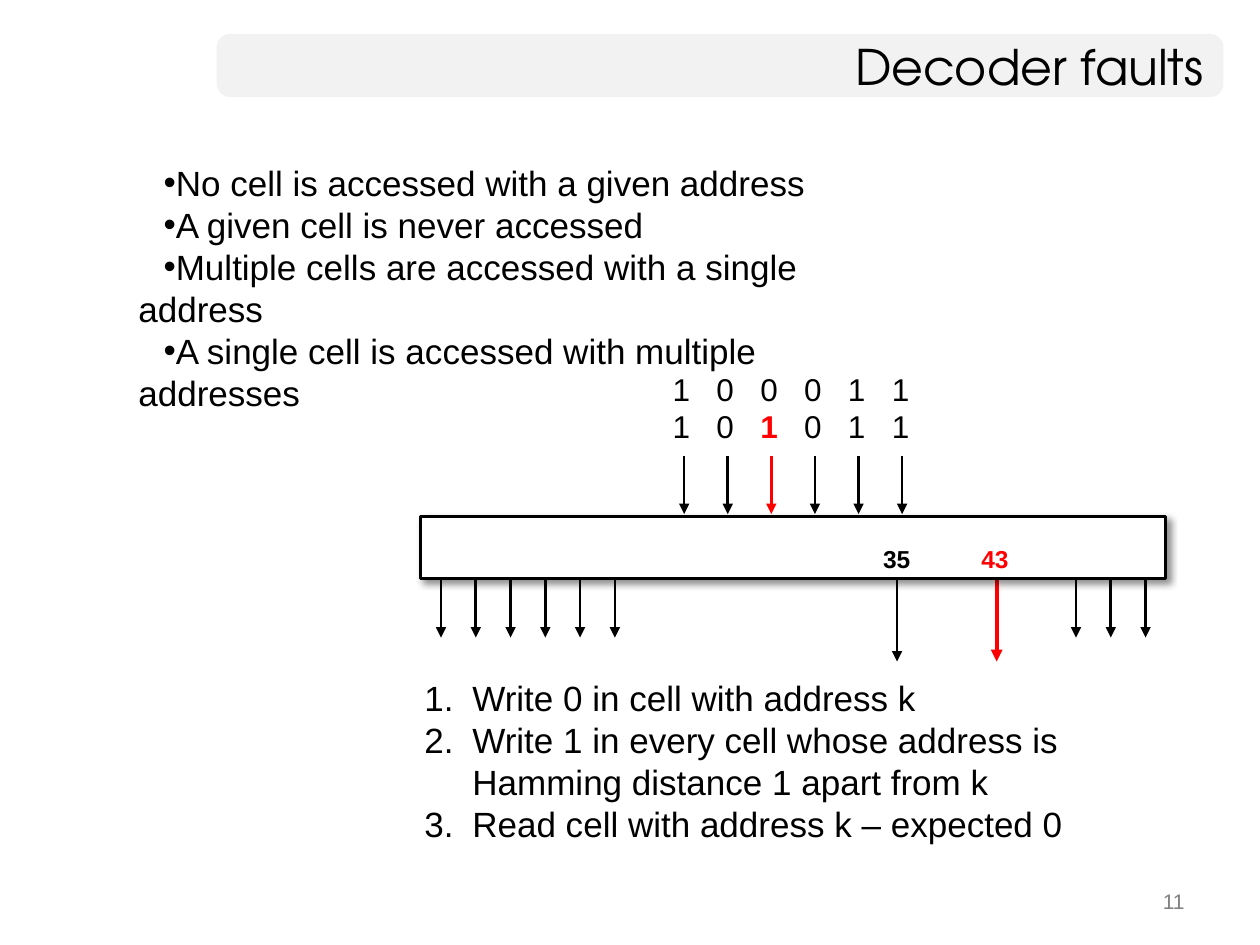
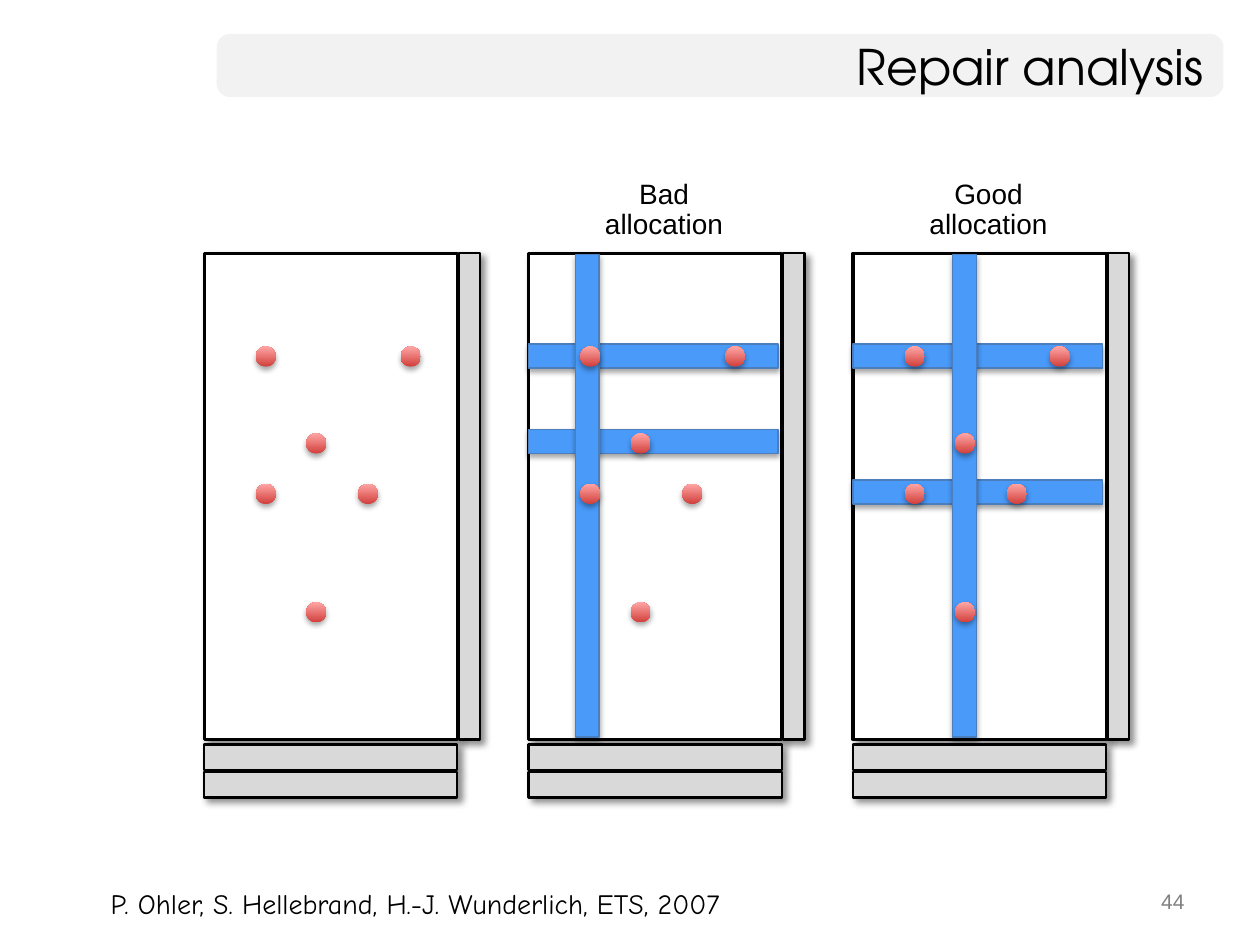
from dataclasses import dataclass

from lxml.etree import SubElement
from pptx import Presentation
from pptx.dml.color import RGBColor
from pptx.enum.shapes import MSO_CONNECTOR, MSO_SHAPE
from pptx.enum.text import MSO_ANCHOR, PP_ALIGN
from pptx.oxml.ns import qn
from pptx.util import Inches, Pt


@dataclass(frozen=True)
class Theme:
    # Colours
    ink: str = "000000"
    paper: str = "FFFFFF"
    alert: str = "FF0000"
    band: str = "F2F2F2"
    page_number: str = "808080"
    spare: str = "D9D9D9"
    repair: str = "4A9AF9"
    repair_edge: str = "4B7EBC"
    fault_dark: str = "D1403C"
    fault_light: str = "FFA6A5"
    # Fonts
    body_font: str = "Arial"
    title_font: str = "TeX Gyre Adventor"
    citation_font: str = "Comic Neue"
    # Type sizes in points
    title_size: int = 28
    body_size: int = 20
    bit_size: int = 18
    label_size: int = 16
    cell_size: int = 14
    number_size: int = 12


@dataclass(frozen=True)
class Shadow:
    opacity: int
    blur: float
    distance: float
    angle: int


THEME = Theme()
BOX_SHADOW = Shadow(43, 4, 3, 45)
SOFT_SHADOW = Shadow(35, 3.1, 1.8, 90)


class SlideBuilder:
    def __init__(self, deck, theme):
        self.deck = deck
        self.theme = theme
        self.page = None

    def start_page(self, title, number):
        """Add a slide with the title band and page number."""
        theme = self.theme
        self.page = self.deck.slides.add_slide(self.deck.slide_layouts[6])
        band = self.shape(1.72, 0.27, 7.99, 0.5, theme.band, kind=MSO_SHAPE.ROUNDED_RECTANGLE)
        band.adjustments[0] = 0.21
        self.text(7.17, 7, 2.33, 0.35, [str(number)], theme.number_size,
                  color=theme.page_number, align=PP_ALIGN.RIGHT)
        box = self.text(1.72, 0.27, 7.93, 0.5, [title], theme.title_size,
                        font=theme.title_font, align=PP_ALIGN.RIGHT)
        box.text_frame.vertical_anchor = MSO_ANCHOR.MIDDLE

    def text(self, left, top, width, height, lines, size, color=None, font=None,
             bold=False, align=PP_ALIGN.LEFT, wrap=True, spacing=None):
        box = self.page.shapes.add_textbox(
            Inches(left), Inches(top), Inches(width), Inches(height))
        frame = box.text_frame
        frame.text = "\n".join(lines)
        frame.word_wrap = wrap
        for para in frame.paragraphs:
            para.alignment = align
            para.line_spacing = spacing
            for span in para.runs:
                span.font.size = Pt(size)
                span.font.name = font or self.theme.body_font
                span.font.bold = bold
                span.font.color.rgb = RGBColor.from_string(color or self.theme.ink)
        return box

    def item_list(self, left, top, width, height, items, margin, indent, marker, **marker_values):
        box = self.text(left, top, width, height, items, self.theme.body_size)
        for para in box.text_frame.paragraphs:
            properties = para._p.get_or_add_pPr()
            properties.set("marL", str(Inches(margin)))
            properties.set("indent", str(Inches(indent)))
            SubElement(properties, qn("a:buFont"), typeface=self.theme.body_font)
            SubElement(properties, qn(marker), **marker_values)

    def shape(self, left, top, width, height, fill=None, edge=None, edge_width=1,
              shadow=None, kind=MSO_SHAPE.RECTANGLE):
        shape = self.page.shapes.add_shape(
            kind, Inches(left), Inches(top), Inches(width), Inches(height))
        if fill:
            shape.fill.solid()
            shape.fill.fore_color.rgb = RGBColor.from_string(fill)
        if edge:
            shape.line.color.rgb = RGBColor.from_string(edge)
            shape.line.width = Pt(edge_width)
        else:
            shape.line.fill.background()
        shape.shadow.inherit = False
        if shadow:
            self.cast_shadow(shape, shadow)
        return shape

    def cast_shadow(self, shape, shadow):
        effects = shape._element.spPr.find(qn("a:effectLst"))
        outer = SubElement(effects, qn("a:outerShdw"), blurRad=str(Pt(shadow.blur)),
                           dist=str(Pt(shadow.distance)), dir=str(shadow.angle * 60000),
                           rotWithShape="0")
        color = SubElement(outer, qn("a:srgbClr"), val=self.theme.ink)
        SubElement(color, qn("a:alpha"), val=str(shadow.opacity * 1000))

    def fault(self, left, top):
        dot = self.shape(left, top, 0.16, 0.16, shadow=SOFT_SHADOW, kind=MSO_SHAPE.OVAL)
        dot.fill.gradient()
        dot.fill.gradient_angle = 90
        shades = (self.theme.fault_dark, self.theme.fault_light)
        for position, (stop, shade) in enumerate(zip(dot.fill.gradient_stops, shades)):
            stop.position = position
            stop.color.rgb = RGBColor.from_string(shade)

    def down_arrow(self, x, top, bottom, color=None, width=1.5):
        arrow = self.page.shapes.add_connector(
            MSO_CONNECTOR.STRAIGHT, Inches(x), Inches(top), Inches(x), Inches(bottom))
        arrow.line.color.rgb = RGBColor.from_string(color or self.theme.ink)
        arrow.line.width = Pt(width)
        SubElement(arrow.line._get_or_add_ln(), qn("a:tailEnd"), type="triangle")
        SubElement(arrow._element.spPr, qn("a:effectLst"))


def build_decoder_faults(builder):
    theme = builder.theme
    builder.start_page("Decoder faults", 11)

    # Output lines, partly hidden behind the decoder
    decoder_top, decoder_bottom = 4.1, 4.59
    builder.down_arrow(7.12, 4.31, 5.25)
    builder.down_arrow(7.91, 4.31, 5.25, theme.alert, 2.25)
    for first_x, count in ((3.5, 6), (8.54, 3)):
        for index in range(count):
            builder.down_arrow(first_x + 0.276 * index, decoder_bottom, 5.06)

    # Decoder and the two selected cells
    builder.shape(3.34, decoder_top, 5.91, decoder_bottom - decoder_top,
                  theme.paper, theme.ink, 1.75, BOX_SHADOW)
    for left, cell, color in ((6.91, "35", theme.ink), (7.69, "43", theme.alert)):
        builder.text(left, 4.27, 0.42, 0.33, [cell], theme.cell_size, color,
                     bold=True, wrap=False)

    # Address bits, with the differing bit highlighted
    expected, actual = "100011", "101011"
    for index, (bit, faulty_bit) in enumerate(zip(expected, actual)):
        differs = bit != faulty_bit
        color = theme.alert if differs else theme.ink
        left = 5.24 + 0.348 * index
        builder.text(left, 2.89, 0.34, 0.4, [bit], theme.bit_size, wrap=False)
        builder.text(left, 3.18, 0.34, 0.4, [faulty_bit], theme.bit_size, color,
                     bold=differs, wrap=False)
        builder.down_arrow(5.43 + 0.346 * index, 3.62, 4.08, color)

    # Test procedure and fault kinds
    builder.item_list(3.27, 5.32, 5.98, 1.45, [
        "Write 0 in cell with address k",
        "Write 1 in every cell whose address is Hamming distance 1 apart from k",
        "Read cell with address k – expected 0",
    ], 0.38, -0.38, "a:buAutoNum", type="arabicPeriod")
    builder.item_list(1, 1.23, 6, 2.1, [
        "No cell is accessed with a given address",
        "A given cell is never accessed",
        "Multiple cells are accessed with a single address",
        "A single cell is accessed with multiple addresses",
    ], 0, 0.2, "a:buChar", char="•")


def draw_memory(builder, left, repaired_rows=(), repaired_column=None):
    """Draw a memory array with spares, repairs and faults placed relative to its corner."""
    theme = builder.theme
    top, width, height = 2.01, 2.01, 3.86
    faults = ((0.41, 0.74), (1.56, 0.74), (0.81, 1.43),
              (0.41, 1.83), (1.22, 1.83), (0.81, 2.77))
    spare_style = (theme.spare, theme.ink, 1.25, BOX_SHADOW)
    repair_style = (theme.repair, theme.repair_edge, 0.75, SOFT_SHADOW)

    builder.shape(left, top, width, height, theme.paper, theme.ink, 1.75, BOX_SHADOW)
    for spare_row in (3.9, 4.12):
        builder.shape(left, top + spare_row, width, 0.2, *spare_style)
    builder.shape(left + 2.02, top, 0.17, height, *spare_style)
    for row in repaired_rows:
        builder.shape(left, top + row, 1.98, 0.19, *repair_style)
    if repaired_column is not None:
        builder.shape(left + repaired_column, top + 0.01, 0.19, 3.83, *repair_style)
    for x, y in faults:
        builder.fault(left + x, top + y)


def build_repair_analysis(builder):
    theme = builder.theme
    builder.start_page("Repair analysis", 44)

    # Unrepaired memory, then the two allocations
    memories = (
        (None, (), None),
        ("Bad", (0.72, 1.4), 0.37),
        ("Good", (0.72, 1.8), 0.79),
    )
    for index, (verdict, rows, column) in enumerate(memories):
        left = 1.62 + 2.575 * index
        draw_memory(builder, left, rows, column)
        if verdict:
            builder.text(left + 0.5, 1.38, 1.15, 0.59, [verdict, "allocation"],
                         theme.label_size, align=PP_ALIGN.CENTER, wrap=False, spacing=0.9)

    # Citation
    builder.text(0.78, 6.99, 5.77, 0.37,
                 ["P. Ohler, S. Hellebrand, H.-J. Wunderlich, ETS, 2007"],
                 theme.label_size, font=theme.citation_font)


def main():
    deck = Presentation()
    deck.slide_width, deck.slide_height = Inches(10), Inches(7.5)
    builder = SlideBuilder(deck, THEME)
    build_decoder_faults(builder)
    build_repair_analysis(builder)
    deck.save("out.pptx")


if __name__ == "__main__":
    main()
